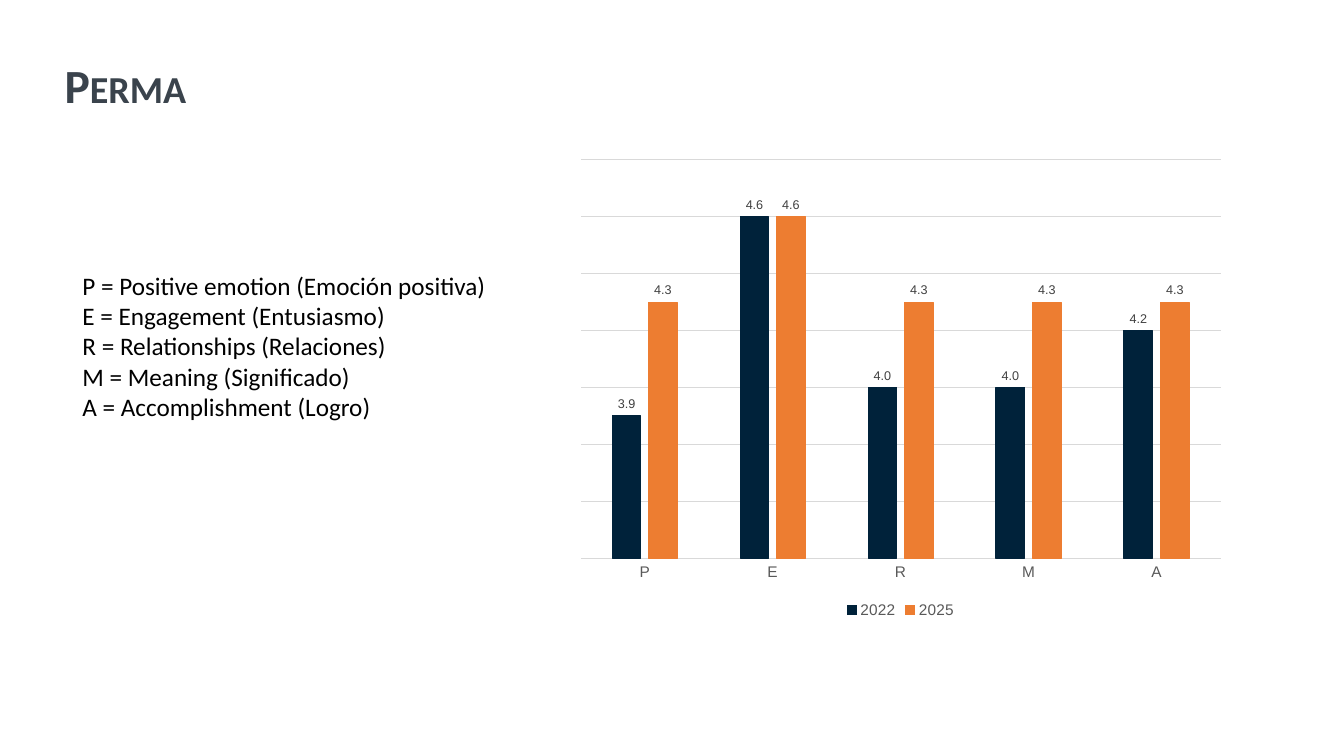
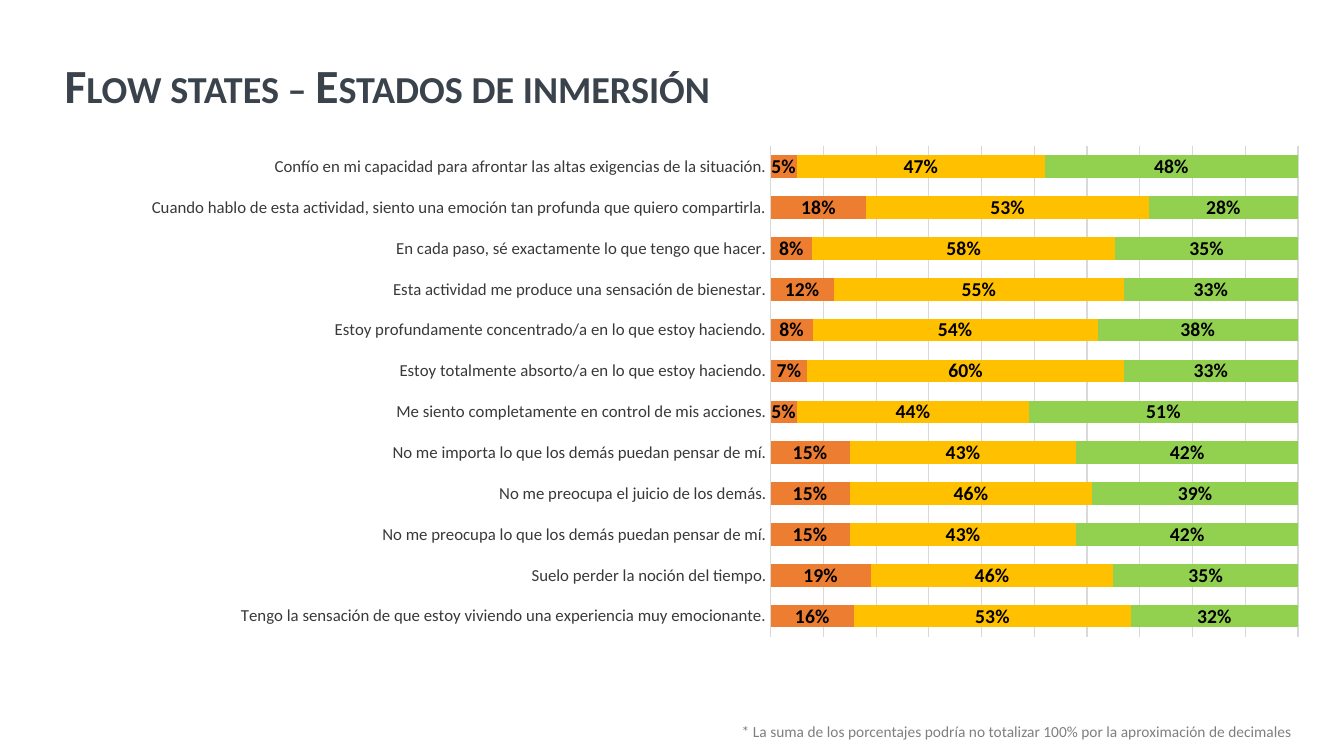
"""Build two slides of survey results: PERMA scores and flow states."""
from pptx import Presentation
from pptx.chart.data import CategoryChartData
from pptx.dml.color import RGBColor
from pptx.enum.chart import XL_CHART_TYPE, XL_LABEL_POSITION, XL_LEGEND_POSITION, XL_TICK_MARK
from pptx.enum.text import MSO_ANCHOR, MSO_AUTO_SIZE, PP_ALIGN
from pptx.oxml import parse_xml
from pptx.oxml.ns import nsdecls
from pptx.util import Pt

COLUMNS, STACKED_BARS = XL_CHART_TYPE.COLUMN_CLUSTERED, XL_CHART_TYPE.BAR_STACKED_100
OUTSIDE, CENTERED = XL_LABEL_POSITION.OUTSIDE_END, XL_LABEL_POSITION.CENTER
LEGEND_BOTTOM, NO_TICKS = XL_LEGEND_POSITION.BOTTOM, XL_TICK_MARK.NONE
TOP, MIDDLE = MSO_ANCHOR.TOP, MSO_ANCHOR.MIDDLE
LEFT, CENTER = PP_ALIGN.LEFT, PP_ALIGN.CENTER
NO_AUTOFIT = MSO_AUTO_SIZE.NONE

BLACK = RGBColor(0x00, 0x00, 0x00)
SLATE = RGBColor(0x3A, 0x43, 0x4C)
NAVY = RGBColor(0x00, 0x22, 0x3A)
ORANGE = RGBColor(0xED, 0x7D, 0x31)
AMBER = RGBColor(0xFF, 0xC0, 0x00)
GREEN = RGBColor(0x92, 0xD0, 0x50)
GRID_GRAY = RGBColor(0xD9, 0xD9, 0xD9)
AXIS_GRAY = RGBColor(0x59, 0x59, 0x59)
LABEL_GRAY = RGBColor(0x40, 0x40, 0x40)
CHART_GRAY = RGBColor(0x56, 0x56, 0x5A)
STATEMENT_GRAY = RGBColor(0x3B, 0x38, 0x38)
NOTE_GRAY = RGBColor(0x7F, 0x7F, 0x7F)

SLIDE_SIZE = (960, 540)
TITLE_BOX = (38.9, 28.8, 916.6, 67.7)

PERMA_TITLE = "Perma"
PERMA_MEANINGS = [
    "P = Positive emotion (Emoción positiva)",
    "E = Engagement (Entusiasmo)",
    "R = Relationships (Relaciones)",
    "M = Meaning (Significado)",
    "A = Accomplishment (Logro)",
]
PERMA_SCORES = [
    ("P", 3.9, 4.3),
    ("E", 4.6, 4.6),
    ("R", 4.0, 4.3),
    ("M", 4.0, 4.3),
    ("A", 4.2, 4.3),
]
PERMA_SERIES = [("2022", NAVY), ("2025", ORANGE)]

FLOW_TITLE = "Flow states – Estados de inmersión"
FLOW_SHARES = [
    ("Confío en mi capacidad para afrontar las altas exigencias de la situación.", 0.05, 0.47, 0.48),
    ("Cuando hablo de esta actividad, siento una emoción tan profunda que quiero compartirla.",
     0.18, 0.53, 0.28),
    ("En cada paso, sé exactamente lo que tengo que hacer.", 0.08, 0.58, 0.35),
    ("Esta actividad me produce una sensación de bienestar.", 0.12, 0.55, 0.33),
    ("Estoy profundamente concentrado/a en lo que estoy haciendo.", 0.08, 0.54, 0.38),
    ("Estoy totalmente absorto/a en lo que estoy haciendo.", 0.07, 0.60, 0.33),
    ("Me siento completamente en control de mis acciones.", 0.05, 0.44, 0.51),
    ("No me importa lo que los demás puedan pensar de mí.", 0.15, 0.43, 0.42),
    ("No me preocupa el juicio de los demás.", 0.15, 0.46, 0.39),
    ("No me preocupa lo que los demás puedan pensar de mí.", 0.15, 0.43, 0.42),
    ("Suelo perder la noción del tiempo.", 0.19, 0.46, 0.35),
    ("Tengo la sensación de que estoy viviendo una experiencia muy emocionante.", 0.16, 0.53, 0.32),
]
FLOW_SERIES = [("Series 1", ORANGE), ("Series 2", AMBER), ("Series 3", GREEN)]
FLOW_PLOT = {"x": 0.635, "y": 0.009, "w": 0.347, "h": 0.852}
FLOW_NOTE = "* La suma de los porcentajes podría no totalizar 100% por la aproximación de decimales"


def points(box):
    return [Pt(length) for length in box]


def style_font(font, name, size, color, bold=False):
    font.name, font.size, font.bold = name, Pt(size), bold
    font.color.rgb = color


def style_line(line, color):
    line.color.rgb, line.width = color, Pt(0.75)


def add_titled_slide(deck, title):
    slide = deck.slides.add_slide(deck.slide_layouts[5])
    heading = slide.shapes.title
    heading.left, heading.top, heading.width, heading.height = points(TITLE_BOX)
    frame = heading.text_frame
    frame.auto_size, frame.vertical_anchor = NO_AUTOFIT, MIDDLE
    paragraph = frame.paragraphs[0]
    paragraph.alignment, paragraph.line_spacing = LEFT, 0.9
    run = paragraph.add_run()
    run.text = title
    style_font(run.font, "Calibri", 34, SLATE, bold=True)
    run.font._element.set("cap", "small")
    return slide


def add_text(slide, box, lines, size, color, align=LEFT, anchor=TOP, spacing=1.0):
    frame = slide.shapes.add_textbox(*points(box)).text_frame
    frame.word_wrap, frame.vertical_anchor = True, anchor
    for index, line in enumerate(lines):
        paragraph = frame.add_paragraph() if index else frame.paragraphs[0]
        paragraph.alignment, paragraph.line_spacing = align, spacing
        run = paragraph.add_run()
        run.text = line
        style_font(run.font, "Calibri", size, color)


def add_bars(slide, kind, box, rows, series, number_format, font, gap, overlap, scale):
    data = CategoryChartData(number_format=number_format)
    categories, *columns = zip(*rows)
    data.categories = categories
    for (name, _), values in zip(series, columns):
        data.add_series(name, values)
    chart = slide.shapes.add_chart(kind, *points(box), data).chart
    chart.has_title = chart.has_legend = False
    style_font(chart.font, *font)
    plot = chart.plots[0]
    plot.gap_width, plot.overlap, plot.vary_by_categories = gap, overlap, False
    for bars, (_, color) in zip(plot.series, series):
        bars.format.fill.solid()
        bars.format.fill.fore_color.rgb = color
    axis = chart.value_axis
    axis.visible, axis.has_major_gridlines = False, True
    axis.minimum_scale, axis.maximum_scale, axis.major_unit = scale
    style_line(axis.major_gridlines.format.line, GRID_GRAY)
    chart.category_axis.major_tick_mark = NO_TICKS
    style_line(chart.category_axis.format.line, GRID_GRAY)
    return chart


def label_bars(chart, number_format, position, *font):
    for bars in chart.plots[0].series:
        labels = bars.data_labels
        labels.show_value, labels.position = True, position
        labels.number_format, labels.number_format_is_linked = number_format, False
        style_font(labels.font, *font)


def fix_plot_area(chart, fractions):
    sizes = "".join(f'<c:{key} val="{value}"/>' for key, value in fractions.items())
    layout = parse_xml(
        f'<c:layout {nsdecls("c")}><c:manualLayout><c:layoutTarget val="inner"/>'
        f'<c:xMode val="edge"/><c:yMode val="edge"/>{sizes}</c:manualLayout></c:layout>')
    plot_area = chart._chartSpace.chart.plotArea
    for old in plot_area.xpath("c:layout"):
        plot_area.remove(old)
    plot_area.insert(0, layout)


def build_perma(deck):
    slide = add_titled_slide(deck, PERMA_TITLE)
    add_text(slide, (51.8, 189.4, 353.5, 116.6), PERMA_MEANINGS, 18, BLACK)
    chart = add_bars(slide, COLUMNS, (405.4, 107.3, 475.9, 337.7), PERMA_SCORES, PERMA_SERIES,
                     "0.0", ("Arial", 10, BLACK), 219, -27, (3.4, 4.8, 0.2))
    for bars, (_, color) in zip(chart.plots[0].series, PERMA_SERIES):
        style_line(bars.format.line, color)
    label_bars(chart, "0.0", OUTSIDE, "Arial", 9, LABEL_GRAY)
    style_font(chart.category_axis.tick_labels.font, "Arial", 11, AXIS_GRAY)
    chart.has_legend = True
    chart.legend.position, chart.legend.include_in_layout = LEGEND_BOTTOM, False
    style_font(chart.legend.font, "Arial", 11, AXIS_GRAY)


def build_flow(deck):
    slide = add_titled_slide(deck, FLOW_TITLE)
    chart = add_bars(slide, STACKED_BARS, (-139, 100.8, 1085.8, 411.1), FLOW_SHARES, FLOW_SERIES,
                     "0%", ("Calibri", 12, CHART_GRAY), 80, 100, (0, 1, 0.1))
    label_bars(chart, "0%", CENTERED, "Calibri", 14, BLACK, True)
    chart.category_axis.reverse_order = True
    style_font(chart.category_axis.tick_labels.font, "Calibri", 12, STATEMENT_GRAY)
    fix_plot_area(chart, FLOW_PLOT)
    add_text(slide, (472.3, 511.9, 508.3, 22.3), [FLOW_NOTE], 11, NOTE_GRAY, CENTER, MIDDLE, 0.9)


def main():
    deck = Presentation()
    deck.slide_width, deck.slide_height = points(SLIDE_SIZE)
    build_perma(deck)
    build_flow(deck)
    deck.save("out.pptx")


if __name__ == "__main__":
    main()
